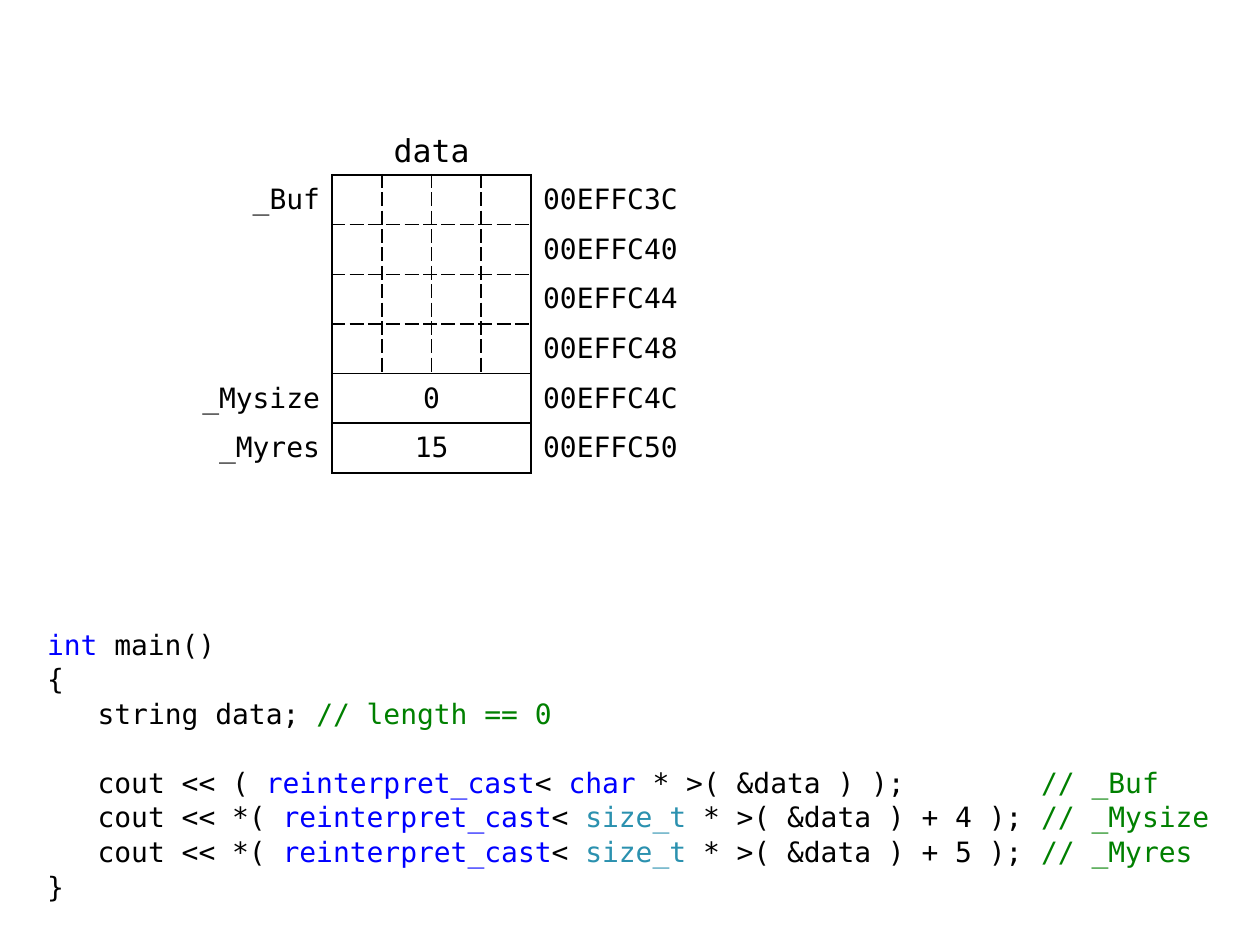
import pptx
import pptx.util
import pptx.dml.color
import pptx.enum.text
import pptx.oxml
import pptx.oxml.ns

Cm, Pt = pptx.util.Cm, pptx.util.Pt
ALIGN = pptx.enum.text.PP_ALIGN
COLORS = {"text": "000000", "keyword": "0000FF", "type": "2B91AF", "comment": "008000"}
FONT = "DejaVu Sans Mono"
NS = pptx.oxml.ns.nsdecls("a")

SOLID, THIN, DASHED = (1.5, "solid"), (1, "solid"), (1, "sysDash")
BUF_ROWS = 4
FIELDS = [  # label, value, address
    ("_Buf", "", "00EFFC3C"),
    ("", "", "00EFFC40"),
    ("", "", "00EFFC44"),
    ("", "", "00EFFC48"),
    ("_Mysize", "0", "00EFFC4C"),
    ("_Myres", "15", "00EFFC50"),
]


def add_text(p, text, size=16, color="text"):
    r = p.add_run()
    r.text = text
    r.font.size = Pt(size)
    r.font.name = FONT
    r.font.color.rgb = pptx.dml.color.RGBColor.from_string(COLORS[color])


def vertical_line(row, i):
    """Line to the left of column i."""
    if i in (1, 5):
        return SOLID
    return DASHED if 1 < i < 5 and row < BUF_ROWS else None


def horizontal_line(i, col):
    """Line above row i."""
    if not 1 <= col <= 4:
        return None
    if i in (0, len(FIELDS)):
        return SOLID
    return DASHED if i < BUF_ROWS else THIN


def add_border(cell, side, line):
    if line:
        width, dash = line
        xml = (f'<a:ln{side} {NS} w="{Pt(width)}"><a:solidFill><a:srgbClr val="{COLORS["text"]}"/>'
               f'</a:solidFill><a:prstDash val="{dash}"/></a:ln{side}>')
    else:
        xml = f'<a:ln{side} {NS} w="0"><a:noFill/></a:ln{side}>'
    cell._tc.get_or_add_tcPr().append(pptx.oxml.parse_xml(xml))


def add_tabs(p, stops):
    tabs = "".join(f'<a:tab pos="{stop}" algn="l"/>' for stop in stops)
    p._p.get_or_add_pPr().append(pptx.oxml.parse_xml(f"<a:tabLst {NS}>{tabs}</a:tabLst>"))


class Builder:
    def __init__(self, prs):
        self.slide = prs.slides.add_slide(prs.slide_layouts[6])

    def text_box(self, left, top, width, height):
        tf = self.slide.shapes.add_textbox(Cm(left), Cm(top), Cm(width), Cm(height)).text_frame
        tf.word_wrap = True
        return tf

    def heading(self, text, *box):
        p = self.text_box(*box).paragraphs[0]
        p.alignment = ALIGN.CENTER
        add_text(p, text, size=18)

    def code(self, lines, *box):
        """Each line is (space before in points, runs of (text, colour))."""
        tf = self.text_box(*box)
        for i, (gap, runs) in enumerate(lines):
            p = tf.paragraphs[0] if i == 0 else tf.add_paragraph()
            p.space_before = Pt(gap)
            add_tabs(p, [Cm(1.02), Cm(20.04)])
            for text, color in runs:
                add_text(p, text, color=color)

    def memory_table(self, left, top, side=1, label=3.5):
        """Square byte cells with a label column on each side."""
        widths = [label] + [side] * 4 + [label]
        table = self.slide.shapes.add_table(
            len(FIELDS), len(widths), Cm(left), Cm(top),
            Cm(sum(widths)), Cm(side * len(FIELDS))).table
        table.first_row = table.horz_banding = False
        for column, width in zip(table.columns, widths):
            column.width = Cm(width)
        for row, (name, value, address) in enumerate(FIELDS):
            table.rows[row].height = Cm(side)
            if value:
                table.cell(row, 1).merge(table.cell(row, 4))
            for col in range(len(widths)):
                cell = table.cell(row, col)
                add_border(cell, "L", vertical_line(row, col))
                add_border(cell, "R", vertical_line(row, col + 1))
                add_border(cell, "T", horizontal_line(row, col))
                add_border(cell, "B", horizontal_line(row + 1, col))
                cell.fill.background()
                cell.vertical_anchor = pptx.enum.text.MSO_ANCHOR.MIDDLE
                cell.margin_left = cell.margin_right = Cm(0.25)
                cell.margin_top = cell.margin_bottom = 0
            for col, text, align in ((0, name, ALIGN.RIGHT), (1, value, ALIGN.CENTER),
                                     (5, address, ALIGN.LEFT)):
                if text:
                    p = table.cell(row, col).text_frame.paragraphs[0]
                    p.alignment = align
                    add_text(p, text)


def cout_line(gap, start, type_name, type_color, end, comment):
    return gap, [(f"\tcout << {start} ", "text"), ("reinterpret_cast", "keyword"),
                 ("< ", "text"), (type_name, type_color),
                 (f" * >( &data ) {end};", "text"), (f"\t// {comment}", "comment")]


def main():
    prs = pptx.Presentation()
    prs.slide_width, prs.slide_height = Cm(25.4), Cm(19.05)
    gap, blank_line = 0.65, 19.9
    b = Builder(prs)
    b.code([
        (gap, [("int", "keyword"), (" main()", "text")]),
        (gap, [("{", "text")]),
        (gap, [("\tstring data; ", "text"), ("// length == 0", "comment")]),
        cout_line(blank_line, "(", "char", "keyword", ")", "_Buf"),
        cout_line(gap, "*(", "size_t", "type", "+ 4 )", "_Mysize"),
        cout_line(gap, "*(", "size_t", "type", "+ 5 )", "_Myres"),
        (gap, [("}", "text")]),
    ], 0.7, 12.52, 24, 5.5)
    b.memory_table(3.2, 3.53)
    b.heading("data", 6.7, 2.51, 4, 1)
    prs.save("out.pptx")


if __name__ == "__main__":
    main()
